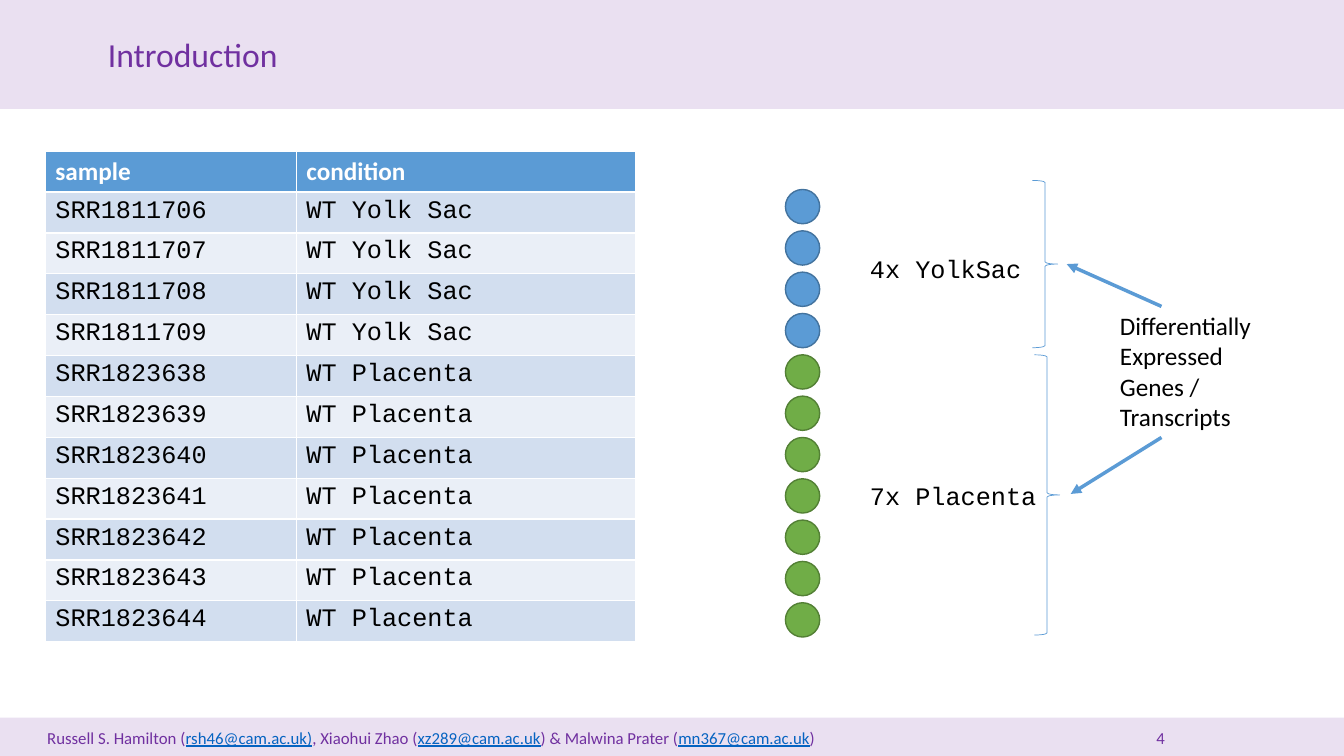
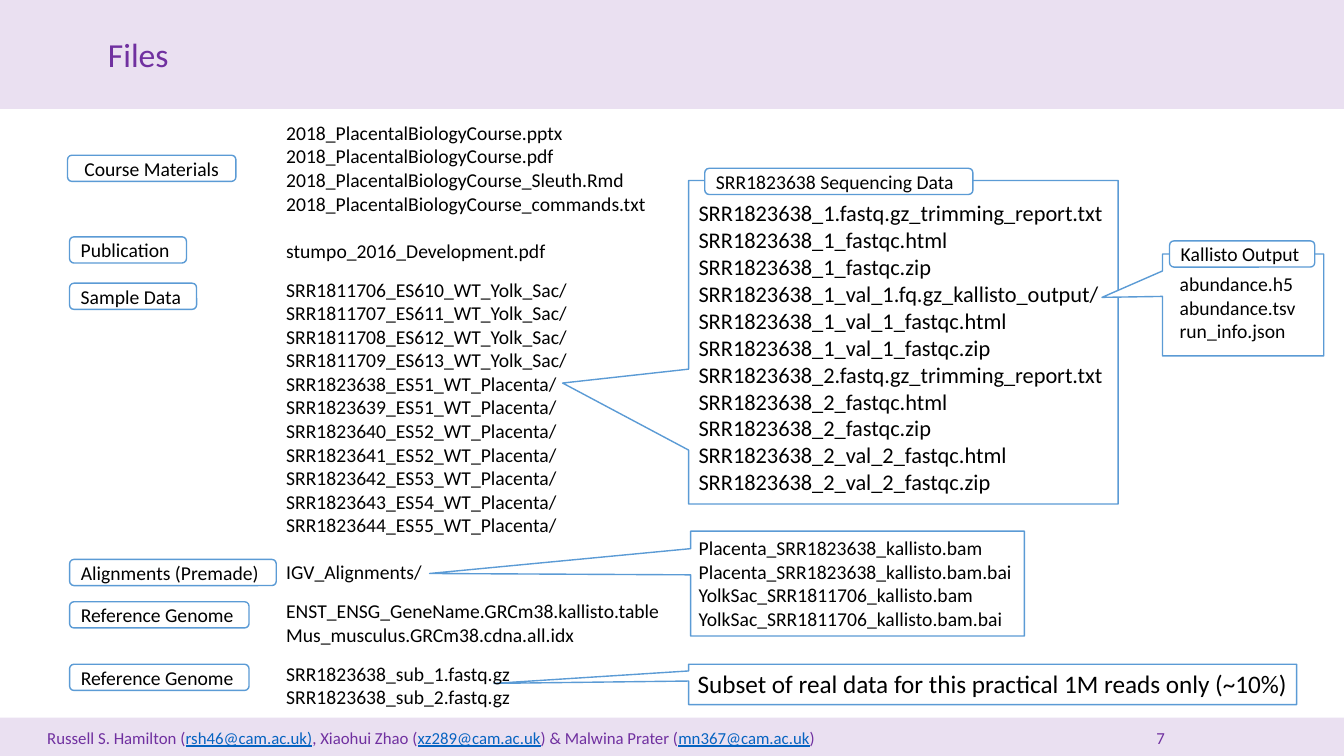
from lxml.etree import SubElement
from pptx import Presentation
from pptx.dml.color import RGBColor
from pptx.enum.shapes import MSO_CONNECTOR, MSO_SHAPE
from pptx.enum.text import MSO_ANCHOR, PP_ALIGN
from pptx.oxml.ns import qn
from pptx.util import Inches, Pt

COLORS = {
    "purple": "7030A0", "band": "EAE0F1", "link": "0563C1",
    "blue": "5B9BD5", "blue_edge": "43739E",
    "green": "70AD47", "green_edge": "538035",
    "row_dark": "D2DEEF", "row_light": "EAEFF7",
    "black": "000000", "white": "FFFFFF",
}
SANS, MONO = "Calibri", "Courier New"
SLIDE_W, SLIDE_H = 13.33, 7.5

# Footer: (text, is an address)
FOOTER = [
    ("Russell S. Hamilton (", False), ("rsh46@cam.ac.uk)", True),
    (", Xiaohui Zhao (", False), ("xz289@cam.ac.uk", True),
    (") & Malwina Prater (", False), ("mn367@cam.ac.uk", True), (")", False),
]

# Introduction
YOLK_SAC = ["SRR1811706", "SRR1811707", "SRR1811708", "SRR1811709"]
PLACENTA = ["SRR1823638", "SRR1823639", "SRR1823640", "SRR1823641",
            "SRR1823642", "SRR1823643", "SRR1823644"]
SAMPLES = ([("sample", "condition")]
           + [(name, "WT Yolk Sac") for name in YOLK_SAC]
           + [(name, "WT Placenta") for name in PLACENTA])
# count, colour, label, label top, brace box, arrow from, arrow to
GROUPS = [
    (len(YOLK_SAC), "blue", "4x YolkSac", 2.46,
     (10.24, 1.79, 0.25, 1.66), (11.52, 3.04), (10.58, 2.62)),
    (len(PLACENTA), "green", "7x Placenta", 4.72,
     (10.26, 3.52, 0.25, 2.78), (11.52, 4.34), (10.62, 4.9)),
]

# Files: (space before in points, names)
FILE_GROUPS = [
    (0, ["2018_PlacentalBiologyCourse.pptx", "2018_PlacentalBiologyCourse.pdf",
         "2018_PlacentalBiologyCourse_Sleuth.Rmd",
         "2018_PlacentalBiologyCourse_commands.txt"]),
    (17, ["stumpo_2016_Development.pdf"]),
    (11, ["SRR1811706_ES610_WT_Yolk_Sac/", "SRR1811707_ES611_WT_Yolk_Sac/",
          "SRR1811708_ES612_WT_Yolk_Sac/", "SRR1811709_ES613_WT_Yolk_Sac/",
          "SRR1823638_ES51_WT_Placenta/", "SRR1823639_ES51_WT_Placenta/",
          "SRR1823640_ES52_WT_Placenta/", "SRR1823641_ES52_WT_Placenta/",
          "SRR1823642_ES53_WT_Placenta/", "SRR1823643_ES54_WT_Placenta/",
          "SRR1823644_ES55_WT_Placenta/"]),
    (17, ["IGV_Alignments/"]),
    (11, ["ENST_ENSG_GeneName.GRCm38.kallisto.table",
          "Mus_musculus.GRCm38.cdna.all.idx"]),
    (11, ["SRR1823638_sub_1.fastq.gz", "SRR1823638_sub_2.fastq.gz"]),
]
# box, tip, text inset (left, top), text size, lines
CALLOUTS = [
    ((6.85, 5.27, 3.31, 1.04), (4.26, 5.69), (0.08, 0.05), 14, [
        "Placenta_SRR1823638_kallisto.bam",
        "Placenta_SRR1823638_kallisto.bam.bai",
        "YolkSac_SRR1811706_kallisto.bam",
        "YolkSac_SRR1811706_kallisto.bam.bai"]),
    ((6.83, 6.59, 6.03, 0.4), (4.9, 6.78), (0.09, 0.04), 18, [
        "Subset of real data for this practical 1M reads only (~10%)"]),
    ((6.83, 1.79, 4.26, 3.21), (5.58, 3.8), (0.1, 0.19), 16, [
        "SRR1823638_1.fastq.gz_trimming_report.txt",
        "SRR1823638_1_fastqc.html",
        "SRR1823638_1_fastqc.zip",
        "SRR1823638_1_val_1.fq.gz_kallisto_output/",
        "SRR1823638_1_val_1_fastqc.html",
        "SRR1823638_1_val_1_fastqc.zip",
        "SRR1823638_2.fastq.gz_trimming_report.txt",
        "SRR1823638_2_fastqc.html",
        "SRR1823638_2_fastqc.zip",
        "SRR1823638_2_val_2_fastqc.html",
        "SRR1823638_2_val_2_fastqc.zip"]),
    ((11.53, 2.52, 1.6, 1.01), (10.93, 2.95), (0.17, 0.18), 14, [
        "abundance.h5", "abundance.tsv", "run_info.json"]),
]
# text, left, top, width, alignment
LABELS = [
    ("Course Materials", 0.67, 1.54, 1.67, PP_ALIGN.CENTER),
    ("Publication", 0.69, 2.35, 1.16, PP_ALIGN.LEFT),
    ("Sample Data", 0.69, 2.81, 1.26, PP_ALIGN.LEFT),
    ("Alignments (Premade)", 0.69, 5.55, 2.05, PP_ALIGN.LEFT),
    ("Reference Genome", 0.69, 5.97, 1.78, PP_ALIGN.LEFT),
    ("Reference Genome", 0.69, 6.59, 1.78, PP_ALIGN.LEFT),
    ("SRR1823638 Sequencing Data", 6.99, 1.67, 2.66, PP_ALIGN.LEFT),
    ("Kallisto Output", 11.6, 2.39, 1.44, PP_ALIGN.LEFT),
]


def rgb(name):
    return RGBColor.from_string(COLORS[name])


def inches(*lengths):
    return [Inches(length) for length in lengths]


def style(font, size, color="black", name=SANS, bold=False):
    font.size, font.name, font.bold = Pt(size), name, bold
    font.color.rgb = rgb(color)


def add_shape(s, kind, box, fill=None, line=None, width=1):
    sp = s.shapes.add_shape(kind, *inches(*box))
    sp.shadow.inherit = False
    if fill:
        sp.fill.solid()
        sp.fill.fore_color.rgb = rgb(fill)
    else:
        sp.fill.background()
    if line:
        sp.line.color.rgb = rgb(line)
        sp.line.width = Pt(width)
    else:
        sp.line.fill.background()
    return sp


def set_lines(tf, lines, size, align=PP_ALIGN.LEFT, **font):
    tf.word_wrap = True
    tf.text = "\n".join(lines)
    for p in tf.paragraphs:
        p.alignment = align
        for r in p.runs:
            style(r.font, size, **font)


def add_text(s, box, lines, size, **font):
    tf = s.shapes.add_textbox(*inches(*box)).text_frame
    set_lines(tf, lines, size, **font)
    return tf


def add_arrow(s, start, end):
    line = s.shapes.add_connector(MSO_CONNECTOR.STRAIGHT, *inches(*start, *end))
    line.line.color.rgb = rgb("blue")
    line.line.width = Pt(2.5)
    SubElement(line.line._get_or_add_ln(), qn("a:tailEnd"), type="triangle")
    SubElement(line.element.spPr, qn("a:effectLst"))


def add_slide(prs, title, number):
    s = prs.slides.add_slide(prs.slide_layouts[5])
    # Bands go behind the title
    heading = s.shapes.title
    for top, height in ((0, 1.08), (7.12, 0.38)):
        band = add_shape(s, MSO_SHAPE.RECTANGLE, (0, top, SLIDE_W, height), "band")
        heading.element.addprevious(band.element)
    heading.left, heading.top, heading.width, heading.height = inches(
        0.97, 0.29, 11, 0.5)
    set_lines(heading.text_frame, [title], 24, color="purple")
    heading.text_frame.vertical_anchor = MSO_ANCHOR.MIDDLE
    # Footer
    p = add_text(s, (0.37, 7.17, 10.5, 0.3), [], 12).paragraphs[0]
    for text, is_address in FOOTER:
        r = p.add_run()
        r.text = text
        style(r.font, 12, "link" if is_address else "purple")
        r.font.underline = is_address
    add_text(s, (11.37, 7.17, 0.6, 0.3), [str(number)], 12, color="purple")
    return s


def build_introduction(prs):
    s = add_slide(prs, "Introduction", 4)
    # Sample table
    table = s.shapes.add_table(len(SAMPLES), 2,
                               *inches(0.45, 1.5, 5.85, 4.87)).table
    table.columns[0].width, table.columns[1].width = inches(2.49, 3.36)
    for i, row in enumerate(SAMPLES):
        fill = "blue" if i == 0 else "row_dark" if i % 2 else "row_light"
        font = {"color": "white", "bold": True} if i == 0 else {"name": MONO}
        for j, text in enumerate(row):
            cell = table.cell(i, j)
            cell.fill.solid()
            cell.fill.fore_color.rgb = rgb(fill)
            set_lines(cell.text_frame, [text], 18, **font)
    # Sample dots, braces and arrows
    dot_top, dot_size, pitch = 1.88, 0.34, 0.41
    for count, color, label, label_top, brace, start, end in GROUPS:
        for _ in range(count):
            add_shape(s, MSO_SHAPE.OVAL, (7.79, dot_top, dot_size, dot_size),
                      color, color + "_edge")
            dot_top += pitch
        add_text(s, (8.53, label_top, 2, 0.4), [label], 18, name=MONO)
        add_shape(s, MSO_SHAPE.RIGHT_BRACE, brace, line="blue", width=0.5)
        add_arrow(s, start, end)
    add_text(s, (11.01, 3.03, 1.72, 1.31),
             ["Differentially Expressed Genes / Transcripts"], 18)


def build_files(prs):
    s = add_slide(prs, "Files", 7)
    # Callouts: the tip is set as a share of the box, from its centre
    for box, tip, inset, size, lines in CALLOUTS:
        left, top, width, height = box
        sp = add_shape(s, MSO_SHAPE.RECTANGULAR_CALLOUT, box, "white", "blue")
        sp.adjustments[0] = (tip[0] - left) / width - 0.5
        sp.adjustments[1] = (tip[1] - top) / height - 0.5
        tf = sp.text_frame
        tf.vertical_anchor = MSO_ANCHOR.TOP
        tf.margin_left, tf.margin_top = inches(*inset)
        tf.margin_right = tf.margin_bottom = 0
        set_lines(tf, lines, size)
    # File list
    names = [name for _, group in FILE_GROUPS for name in group]
    tf = add_text(s, (2.74, 1.15, 3.94, 5.97), names, 14)
    first = 0
    for gap, group in FILE_GROUPS:
        if gap:
            tf.paragraphs[first].space_before = Pt(gap)
        first += len(group)
    # Labels
    for text, left, top, width, align in LABELS:
        sp = add_shape(s, MSO_SHAPE.ROUNDED_RECTANGLE, (left, top, width, 0.26),
                       "white", "blue")
        tf = sp.text_frame
        tf.margin_top = tf.margin_bottom = 0
        tf.vertical_anchor = MSO_ANCHOR.MIDDLE
        set_lines(tf, [text], 14, align)


def main():
    prs = Presentation()
    prs.slide_width, prs.slide_height = inches(SLIDE_W, SLIDE_H)
    build_introduction(prs)
    build_files(prs)
    prs.save("out.pptx")


if __name__ == "__main__":
    main()
